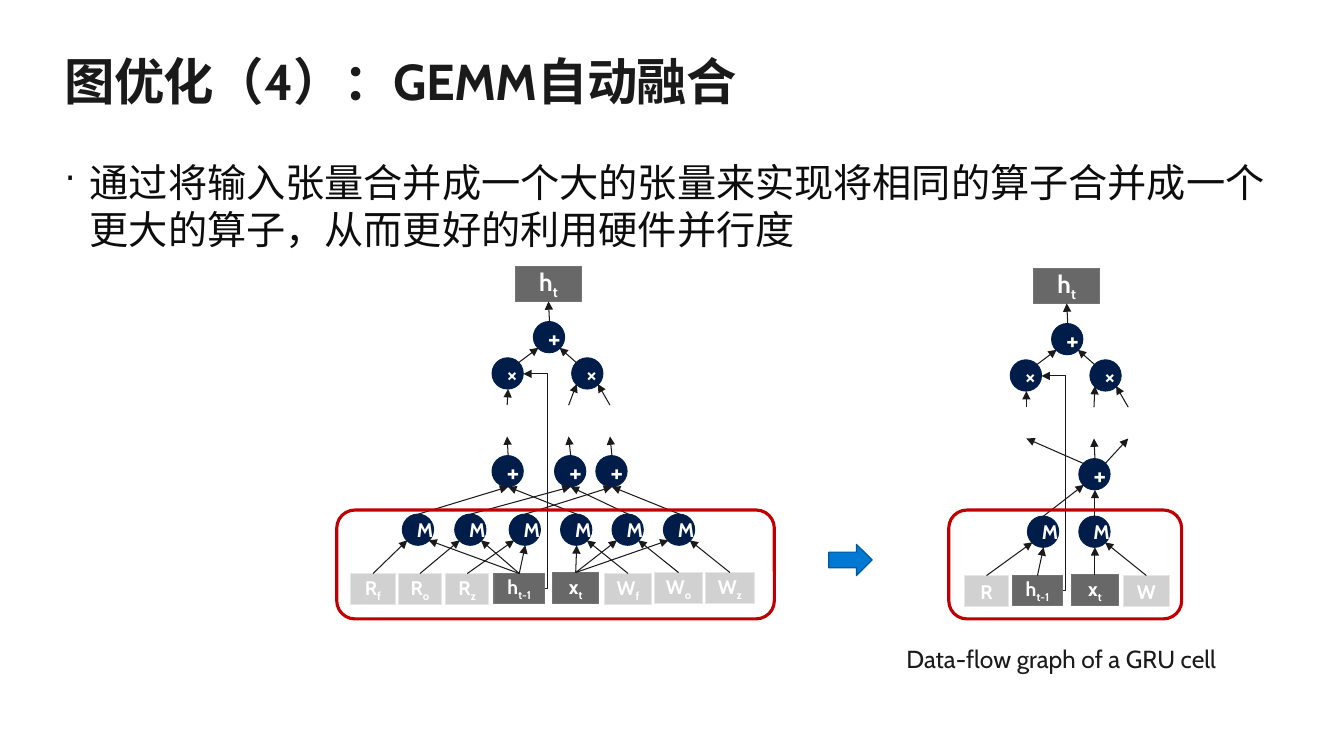
from pptx import Presentation
from pptx.dml.color import RGBColor
from pptx.enum.shapes import MSO_CONNECTOR as Connector, MSO_SHAPE as Shape
from pptx.enum.text import MSO_ANCHOR as Anchor, MSO_AUTO_SIZE as AutoSize, PP_ALIGN as Align
from pptx.oxml.ns import qn
from pptx.util import Pt
from lxml.etree import SubElement

PX = 9144  # one hundredth of an inch
FONT = "Cabin"
INK = RGBColor(0x1A, 0x1A, 0x1A)
BODY_INK = RGBColor(0x0D, 0x0D, 0x0D)
WHITE = RGBColor(0xFF, 0xFF, 0xFF)
NAVY, NAVY_EDGE = RGBColor(0x00, 0x1D, 0x49), RGBColor(0x00, 0x20, 0x50)
DARK, DARK_EDGE = RGBColor(0x68, 0x68, 0x68), RGBColor(0x73, 0x73, 0x73)
PALE, PALE_EDGE = RGBColor(0xD1, 0xD1, 0xD1), RGBColor(0xE6, 0xE6, 0xE6)
RED = RGBColor(0xC0, 0x00, 0x00)
BLUE, BLUE_EDGE = RGBColor(0x00, 0x78, 0xD4), RGBColor(0x00, 0x59, 0x9D)

NODE = 31  # diameter of an operator circle
SITES = {"top": (16, 0), "bottom": (16, 31), "right": (31, 16), "upper left": (5, 5),
         "upper right": (26, 5), "lower left": (5, 26), "lower right": (26, 26)}

# Per graph, relative to its left and top. Inputs: name, subscript, x, y, width.
# Links: from index, to index, site on the target circle.
SEPARATE = dict(
    frame=(0, 242, 434, 108), core=154, add_y=188,
    inputs=[("R", "f", 14, 305, 44), ("R", "o", 61, 305, 43), ("R", "z", 108, 305, 43),
            ("h", "t-1", 156, 305, 50), ("x", "t", 214, 304, 46),
            ("W", "f", 266, 305, 46), ("W", "o", 315, 304, 48), ("W", "z", 366, 304, 48)],
    multiplies=[65, 117, 171, 222, 273, 324], adds=[154, 216, 257],
    input_links=[(0, 0, "lower left"), (1, 1, "lower left"), (2, 2, "lower left"),
                 (3, 0, "lower right"), (3, 1, "lower right"), (3, 2, "bottom"),
                 (4, 3, "bottom"), (4, 4, "lower left"), (4, 5, "lower left"),
                 (5, 3, "lower right"), (6, 4, "lower right"), (7, 5, "lower right")],
    add_links=[(gate, gate % 3, "bottom") for gate in range(6)],
    gates=[(0, "top", 169), (1, "top", 230), (2, "top", 271)])
FUSED = dict(
    frame=(0, 240, 231, 108), core=61, add_y=189,
    inputs=[("R", "", 16, 305, 43), ("h", "t-1", 63, 305, 50),
            ("x", "t", 122, 304, 46), ("W", "", 173, 305, 46)],
    multiplies=[78, 129], adds=[129],
    input_links=[(0, 0, "lower left"), (1, 0, "bottom"), (2, 1, "bottom"), (3, 1, "lower right")],
    add_links=[(0, 0, "lower left"), (1, 0, "bottom")],
    gates=[(0, "upper left", 77), (0, "top", 144), (0, "upper right", 178)])


def add_span(para, text, size, color, bold=False):
    span = para.add_run()
    span.text = text
    font = span.font
    font.name, font.size, font.bold, font.color.rgb = FONT, Pt(size), bold, color
    return span


def add_text(page, box, text, size, color, bold=False, inset=None, wrap=True):
    frame = page.shapes.add_textbox(*(n * PX for n in box)).text_frame
    frame.word_wrap = wrap
    frame.auto_size = AutoSize.SHAPE_TO_FIT_TEXT
    if inset is not None:
        frame.margin_left = frame.margin_right = frame.margin_top = frame.margin_bottom = inset
    para = frame.paragraphs[0]
    return para, add_span(para, text, size, color, bold)


def add_block(page, kind, box, fill, edge, weight=0.75):
    block = page.shapes.add_shape(kind, *(n * PX for n in box))
    block.shadow.inherit = False
    if fill is None:
        block.fill.background()
    else:
        block.fill.solid()
        block.fill.fore_color.rgb = fill
    block.line.color.rgb = edge
    block.line.width = Pt(weight)
    return block


def label(block, text, size, subscript=""):
    block.text_frame.vertical_anchor = Anchor.MIDDLE
    para = block.text_frame.paragraphs[0]
    para.alignment = Align.CENTER
    add_span(para, text, size, WHITE, True)
    if subscript:
        lowered = add_span(para, subscript, size, WHITE, True)
        lowered.font._element.set("baseline", "-25000")


def add_node(page, x, y, sign, size):
    """Draw an operator circle and return its connection points by name."""
    label(add_block(page, Shape.OVAL, (x, y, NODE, NODE), NAVY, NAVY_EDGE), sign, size)
    return {site: (x + dx, y + dy) for site, (dx, dy) in SITES.items()}


def add_tensor(page, box, name, subscript, size):
    colors = (DARK, DARK_EDGE) if name in "hx" else (PALE, PALE_EDGE)
    tensor = add_block(page, Shape.RECTANGLE, box, *colors)
    label(tensor, name, size, subscript)
    return tensor


def add_arrow(page, start, end, kind=Connector.STRAIGHT):
    arrow = page.shapes.add_connector(kind, *(n * PX for n in start + end))
    arrow.line.color.rgb = INK
    arrow.line.width = Pt(0.75)
    SubElement(arrow.line._get_or_add_ln(), qn("a:tailEnd"), type="triangle")
    SubElement(arrow._element.spPr, qn("a:effectLst"))
    return arrow


def draw_output(page, left, top):
    """Top of a cell: two products summed into the new state."""
    state = add_tensor(page, (left + 23, top, 66, 35), "h", "t", 17.6)
    total = add_node(page, left + 41, top + 55, "+", 20)
    products = [add_node(page, left + x, top + 91, "×", 17.6) for x in (0, 79)]
    add_arrow(page, total["top"], (left + 56, top + 35)).end_connect(state, 2)
    add_arrow(page, products[0]["upper right"], total["lower left"])
    add_arrow(page, products[1]["upper left"], total["lower right"])
    # Old state feeds the left product
    bypass = add_arrow(page, (left + 52, top + 320), products[0]["right"], Connector.ELBOW)
    guides = bypass._element.spPr.find(qn("a:prstGeom")).get_or_add_avLst()
    SubElement(guides, qn("a:gd"), name="adj1", fmla="val -13000")
    return products


def draw_graph(page, left, top, layout):
    products = draw_output(page, left + layout["core"], top)

    # Operators and input tensors
    adds = [add_node(page, left + x, top + layout["add_y"], "+", 20) for x in layout["adds"]]
    multiplies = [add_node(page, left + x, top + 246, "M", 14) for x in layout["multiplies"]]
    inputs = [add_tensor(page, (left + x, top + y, width, 30 if name == "h" else 31),
                         name, subscript, 14)
              for name, subscript, x, y, width in layout["inputs"]]

    # Data flow from inputs through products to sums
    for source, target, site in layout["input_links"]:
        _, _, x, y, width = layout["inputs"][source]
        arrow = add_arrow(page, (left + x + width // 2, top + y), multiplies[target][site])
        arrow.begin_connect(inputs[source], 0)
    for source, target, site in layout["add_links"]:
        add_arrow(page, multiplies[source]["top"], adds[target][site])

    # Gates, open between the sums and the output
    entries = (products[0]["bottom"], products[1]["lower left"], products[1]["lower right"])
    for (source, site, x), entry in zip(layout["gates"], entries):
        add_arrow(page, adds[source][site], (left + x, top + 169))
        add_arrow(page, (left + x, top + 138), entry)

    # Frame around the matrix products
    x, y, width, height = layout["frame"]
    add_block(page, Shape.ROUNDED_RECTANGLE, (left + x, top + y, width, height), None, RED, 2.25)


def draw_heading(page, left, top, width):
    _, title = add_text(page, (left, top, width, 61), "图优化（4）：GEMM自动融合",
                        36, INK, True, inset=0)
    title.font._element.set("spc", "-50")
    para, _ = add_text(page, (left, top + 107, width, 94),
                       "通过将输入张量合并成一个大的张量来实现将相同的算子合并成一个"
                       "更大的算子，从而更好的利用硬件并行度", 28, BODY_INK, inset=0)
    props = para._p.get_or_add_pPr()
    props.set("marL", str(25 * PX))
    props.set("indent", str(-25 * PX))
    SubElement(props, qn("a:buSzPct"), val="90000")
    SubElement(props, qn("a:buChar"), char="·")


def main():
    deck = Presentation()
    deck.slide_width, deck.slide_height = 1333 * PX, 750 * PX
    page = deck.slides.add_slide(deck.slide_layouts[6])
    draw_heading(page, 64, 50, 1205)
    draw_graph(page, 334, 264, SEPARATE)
    draw_graph(page, 941, 266, FUSED)
    add_block(page, Shape.RIGHT_ARROW, (822, 540, 43, 31), BLUE, BLUE_EDGE, 0.85)
    add_text(page, (889, 634, 358, 40), "Data-flow graph of a GRU cell", 17.6, INK, wrap=False)
    deck.save("out.pptx")


if __name__ == "__main__":
    main()
